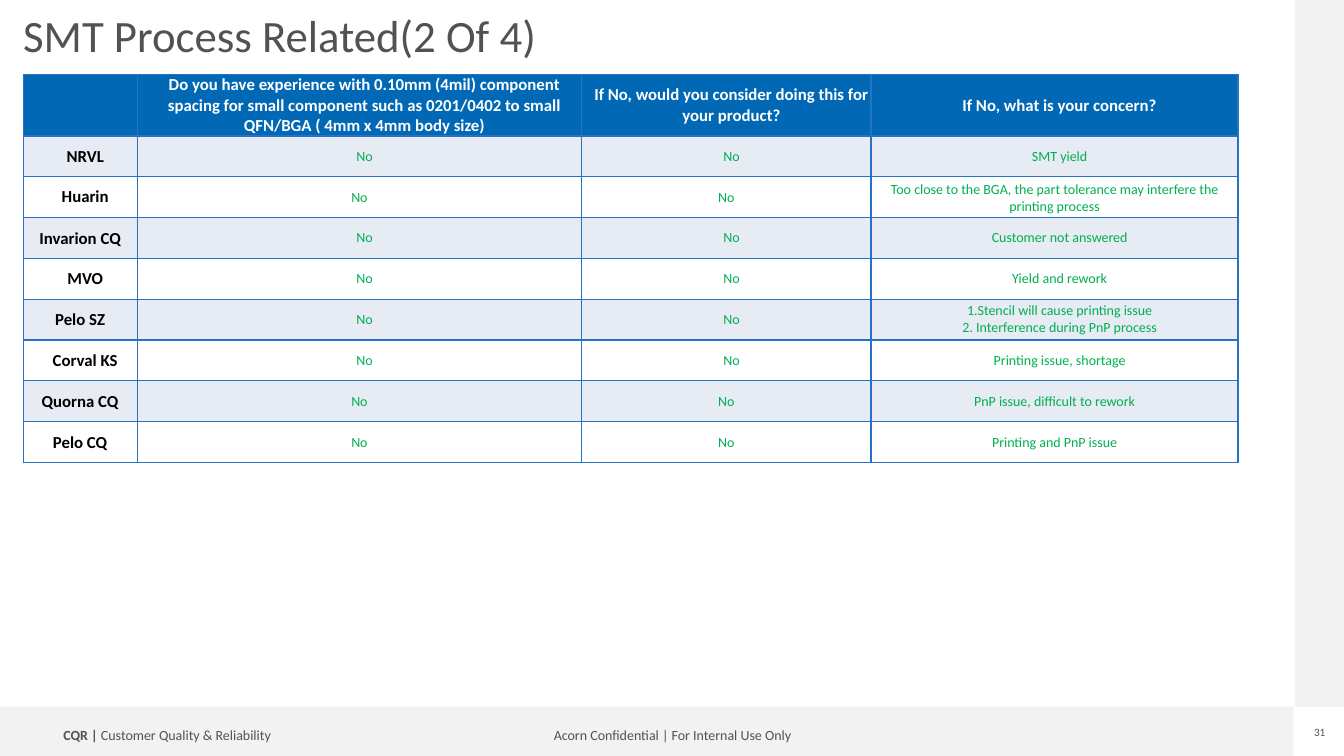
from dataclasses import dataclass

from lxml import etree
from pptx import Presentation
from pptx import util as u
from pptx.dml.color import RGBColor
from pptx.enum import shapes, text
from pptx.oxml.ns import qn

SCALE = 9144
FONT = "Calibri"
GREY, BAND, WHITE = "525252", "F2F2F2", "FFFFFF"
HEADER, STRIPE, BORDER, ANSWER = "0068B5", "E7EBF3", "2872C5", "00B050"
CENTER, LEFT = text.PP_ALIGN.CENTER, text.PP_ALIGN.LEFT


@dataclass
class Box:
    x: int
    y: int
    w: int
    h: int


@dataclass
class Label:
    box: Box
    runs: list[tuple[str, bool]]
    size: int
    align: text.PP_ALIGN = LEFT
    spacing: float = 0.9
    inset: tuple[int, int] = (10, 5)
    wrap: bool = False


@dataclass
class Supplier:
    name: str
    concern: str
    name_inset: int = 10
    answer_inset: int = 10


BANDS = [Box(-1, 701, 1284, 49), Box(1284, 0, 49, 701)]

LABELS = [
    Label(Box(529, 718, 276, 25),
          [("Acorn Confidential | For Internal Use Only", False)], 10, CENTER),
    Label(Box(53, 718, 254, 25),
          [("CQR | ", True), ("Customer Quality & Reliability", False)], 10),
    Label(Box(1302, 720, 14, 13), [("31", False)], 8, CENTER, 1.0, (0, 0)),
    Label(Box(23, 14, 1204, 104),
          [("SMT Process Related(2 Of 4)", False)], 32, inset=(0, 0), wrap=True),
]

TABLE = Box(23, 74, 1205, 385)
COLUMNS = [113, 441, 287, 364]
HEADER_HEIGHT = 61
HEADINGS = [
    "",
    "Do you have experience with 0.10mm (4mil) component spacing for small "
    "component such as 0201/0402 to small QFN/BGA ( 4mm x 4mm body size)",
    "If No, would you consider doing this for your product?",
    "If No, what is your concern?",
]
SUPPLIERS = [
    Supplier("NRVL", "SMT yield"),
    Supplier("Huarin", "Too close to the BGA, the part tolerance may interfere "
             "the printing process", 10, 1),
    Supplier("Invarion CQ", "Customer not answered", 1),
    Supplier("MVO", "Yield and rework"),
    Supplier("Pelo SZ", "1.Stencil will cause printing issue\n"
             "2. Interference during PnP process", 1),
    Supplier("Corval KS", "Printing issue, shortage"),
    Supplier("Quorna CQ", "PnP issue, difficult to rework", 1, 1),
    Supplier("Pelo CQ", "Printing and PnP issue", 1, 1),
]


def px(n: int) -> u.Emu:
    return u.Emu(n * SCALE)


def place(box: Box) -> tuple[u.Emu, ...]:
    return px(box.x), px(box.y), px(box.w), px(box.h)


def rgb(value: str) -> RGBColor:
    return RGBColor.from_string(value)


def style(font, size: int, color: str, bold: bool) -> None:
    font.name = FONT
    font.size = u.Pt(size)
    font.bold = bold
    font.color.rgb = rgb(color)


def draw_band(s, box: Box) -> None:
    sp = s.shapes.add_shape(shapes.MSO_SHAPE.RECTANGLE, *place(box))
    sp.shadow.inherit = False
    sp.fill.solid()
    sp.fill.fore_color.rgb = rgb(BAND)
    sp.line.fill.background()


def draw_label(s, label: Label) -> None:
    tf = s.shapes.add_textbox(*place(label.box)).text_frame
    tf.word_wrap = label.wrap
    tf.margin_left = tf.margin_right = px(label.inset[0])
    tf.margin_top = tf.margin_bottom = px(label.inset[1])
    p = tf.paragraphs[0]
    p.alignment = label.align
    p.line_spacing = label.spacing
    for words, bold in label.runs:
        r = p.add_run()
        r.text = words
        style(r.font, label.size, GREY, bold)


def add_borders(cell) -> None:
    tc_pr = cell._tc.get_or_add_tcPr()
    for side in ("a:lnL", "a:lnR", "a:lnT", "a:lnB"):
        ln = etree.SubElement(tc_pr, qn(side), w=str(u.Pt(1)))
        fill = etree.SubElement(ln, qn("a:solidFill"))
        etree.SubElement(fill, qn("a:srgbClr"), val=BORDER)


def fill_cell(cell, words: str, size: int, color: str, bold: bool,
              fill: str, inset: int) -> None:
    add_borders(cell)
    cell.fill.solid()
    cell.fill.fore_color.rgb = rgb(fill)
    cell.vertical_anchor = text.MSO_ANCHOR.MIDDLE
    cell.margin_left = px(inset)
    cell.margin_right = cell.margin_top = px(1 if inset == 1 else 0)
    cell.margin_bottom = 0
    cell.text_frame.text = words
    for p in cell.text_frame.paragraphs:
        p.alignment = CENTER
        for r in p.runs:
            style(r.font, size, color, bold)


def draw_table(s) -> None:
    frame = s.shapes.add_table(len(SUPPLIERS) + 1, len(COLUMNS), *place(TABLE))
    table = frame.table
    for column, width in zip(table.columns, COLUMNS):
        column.width = px(width)
    for row in table.rows:
        row.height = px(TABLE.h - HEADER_HEIGHT) // len(SUPPLIERS)
    table.rows[0].height = px(HEADER_HEIGHT)
    for col, heading in enumerate(HEADINGS):
        fill_cell(table.cell(0, col), heading, 12, WHITE, True, HEADER, 10)
    for row, supplier in enumerate(SUPPLIERS, 1):
        fill = STRIPE if row % 2 else WHITE
        fill_cell(table.cell(row, 0), supplier.name, 12, "000000", True,
                  fill, supplier.name_inset)
        for col, words in enumerate(("No", "No", supplier.concern), 1):
            fill_cell(table.cell(row, col), words, 10, ANSWER, False,
                      fill, supplier.answer_inset)


def main() -> None:
    prs = Presentation()
    prs.slide_width, prs.slide_height = px(1333), px(750)
    s = prs.slides.add_slide(prs.slide_layouts[6])
    for band in BANDS:
        draw_band(s, band)
    for label in LABELS:
        draw_label(s, label)
    draw_table(s)
    prs.save("out.pptx")


if __name__ == "__main__":
    main()
